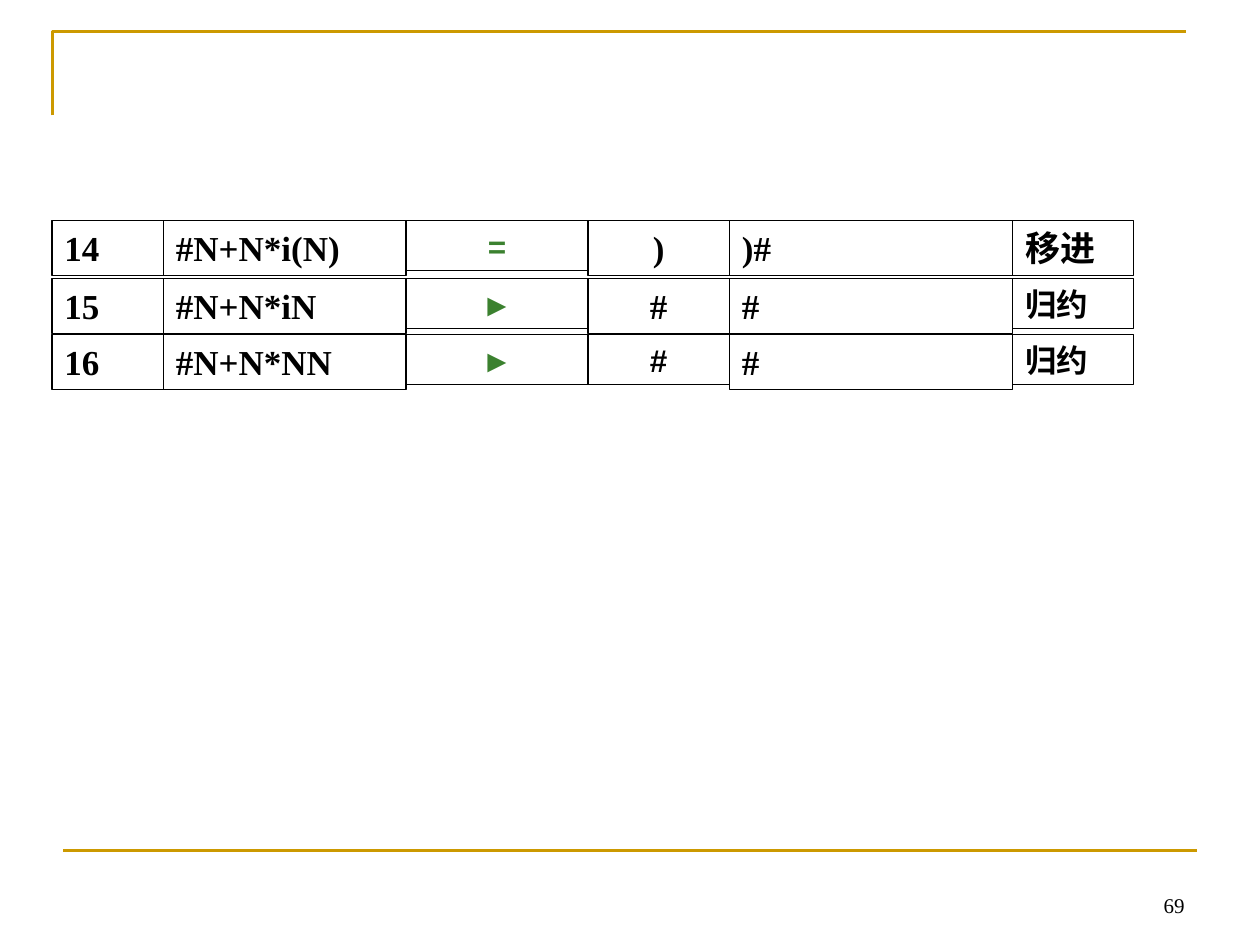
"""Build a slide with the closing steps of an operator-precedence parse."""
from dataclasses import dataclass
from itertools import pairwise

from lxml import etree
from pptx import Presentation, util as u
from pptx.dml.color import RGBColor
from pptx.enum import shapes, text
from pptx.oxml.ns import qn

GOLD, GREEN, BLACK = "CC9900", "3B812F", "000000"
COLUMN_EDGES = (29.8, 93.4, 232, 336, 416.9, 578.7, 647.8)


@dataclass(frozen=True)
class Style:
    font: str
    size: float
    height: float = 0
    color: str = BLACK
    align: text.PP_ALIGN = text.PP_ALIGN.LEFT
    bold: bool = True


@dataclass(frozen=True)
class Step:
    top: float
    labels: tuple[str, ...]
    styles: tuple[Style, ...]


CENTER = text.PP_ALIGN.CENTER
SERIF = Style("Times New Roman", 20, 31.5)
SERIF_CENTER = Style("Times New Roman", 20, 31.5, align=CENTER)
SANS = Style("Arial", 18, 28.8)
SANS_CENTER = Style("Arial", 18, 28.8, align=CENTER)
RELATION = Style("Arial", 18, 28.8, GREEN, CENTER)
PAGE_NUMBER = Style("Times New Roman", 12, align=text.PP_ALIGN.RIGHT, bold=False)

STEPS = (
    Step(126, ("14", "#N+N*i(N)", "=", ")", ")#", "移进"),
         (SERIF, SERIF, RELATION, SERIF_CENTER, SERIF, SERIF)),
    Step(159.1, ("15", "#N+N*iN", "►", "#", "#", "归约"),
         (SERIF, SERIF, RELATION, SERIF_CENTER, SERIF, SANS)),
    Step(191.1, ("16", "#N+N*NN", "►", "#", "#", "归约"),
         (SERIF, SERIF, RELATION, SANS_CENTER, SERIF, SANS)),
)


def rgb(color: str) -> RGBColor:
    return RGBColor.from_string(color)


def set_line(shape, color: str, width: float) -> None:
    shape.line.color.rgb = rgb(color)
    shape.line.width = u.Pt(width)


def write(shape, label: str, style: Style, anchor: text.MSO_ANCHOR) -> None:
    frame = shape.text_frame
    frame.text = label
    frame.word_wrap = True
    frame.vertical_anchor = anchor
    paragraph = frame.paragraphs[0]
    paragraph.alignment = style.align
    for run in paragraph.runs:
        run.font.name = style.font
        run.font.size = u.Pt(style.size)
        run.font.bold = style.bold
        run.font.color.rgb = rgb(style.color)


def draw_frame(slide) -> None:
    builder = slide.shapes.build_freeform(u.Pt(30), u.Pt(66))
    builder.add_line_segments(
        [(u.Pt(30), u.Pt(18)), (u.Pt(678), u.Pt(18))], close=False)
    corner = builder.convert_to_shape()
    corner.fill.background()
    corner.shadow.inherit = False
    set_line(corner, GOLD, 1.5)

    footer_line = slide.shapes.add_connector(
        shapes.MSO_CONNECTOR.STRAIGHT, u.Pt(36), u.Pt(486), u.Pt(684), u.Pt(486))
    set_line(footer_line, GOLD, 1.5)
    etree.SubElement(footer_line._element.spPr, qn("a:effectLst"))


def draw_step(slide, step: Step) -> None:
    group = slide.shapes.add_group_shape()
    columns = pairwise(COLUMN_EDGES)
    for (left, right), label, style in zip(columns, step.labels, step.styles):
        cell = group.shapes.add_shape(
            shapes.MSO_SHAPE.RECTANGLE, u.Pt(left), u.Pt(step.top),
            u.Pt(right - left), u.Pt(style.height))
        cell.fill.background()
        cell.shadow.inherit = False
        set_line(cell, BLACK, 0.75)
        write(cell, label, style, text.MSO_ANCHOR.TOP)
        cell.text_frame.auto_size = text.MSO_AUTO_SIZE.SHAPE_TO_FIT_TEXT


def main() -> None:
    presentation = Presentation()
    presentation.slide_width, presentation.slide_height = u.Pt(720), u.Pt(540)
    slide = presentation.slides.add_slide(presentation.slide_layouts[6])
    draw_frame(slide)
    page_number = slide.shapes.add_textbox(u.Pt(516), u.Pt(492), u.Pt(168), u.Pt(36))
    write(page_number, "69", PAGE_NUMBER, text.MSO_ANCHOR.BOTTOM)
    for step in STEPS:
        draw_step(slide, step)
    presentation.save("out.pptx")


if __name__ == "__main__":
    main()
